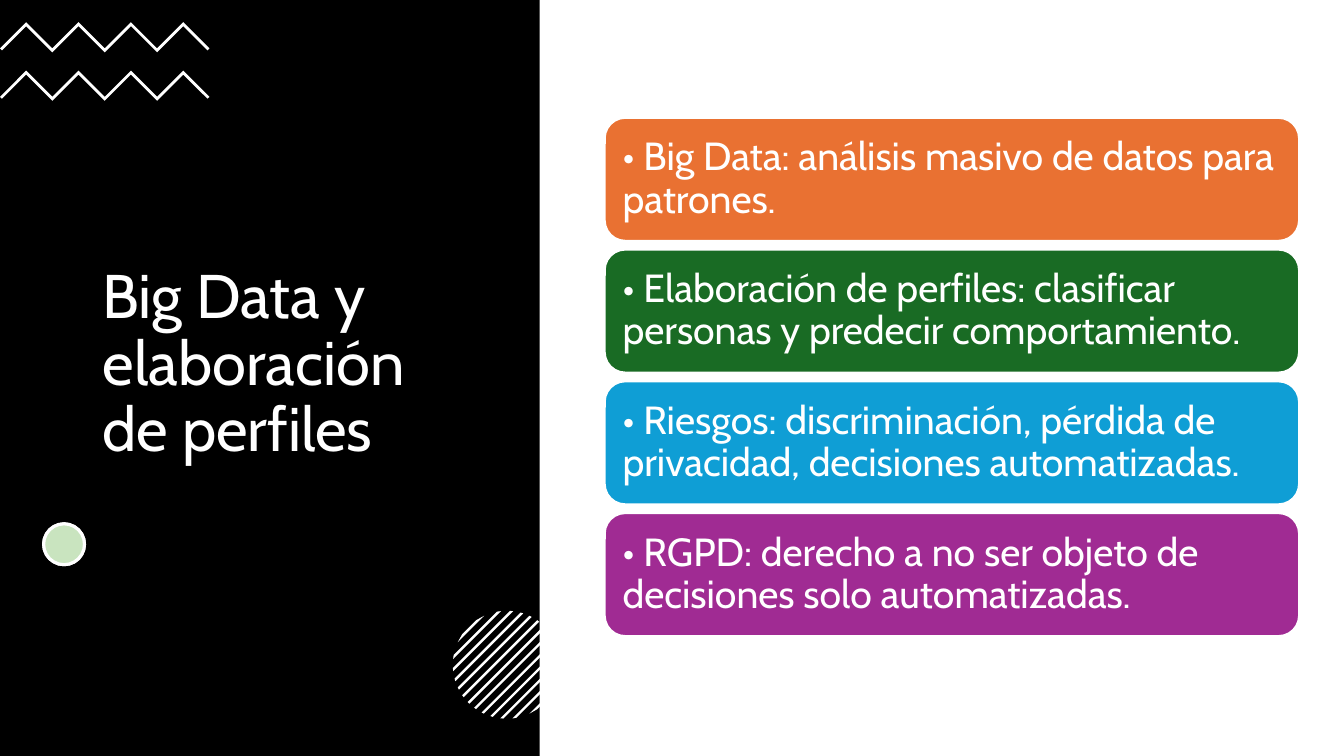
from math import sqrt

from lxml.etree import SubElement
from pptx import Presentation
from pptx.dml.color import RGBColor
from pptx.enum.shapes import MSO_SHAPE
from pptx.enum.text import MSO_ANCHOR, MSO_AUTO_SIZE, PP_ALIGN
from pptx.oxml.ns import qn
from pptx.util import Cm, Pt

WHITE = "FFFFFF"
BLACK = "000000"
GREEN = "4EA72E"

CARDS = [
    ("E97132", "• Big Data: análisis masivo de datos para patrones."),
    ("196B24", "• Elaboración de perfiles: clasificar personas y predecir comportamiento."),
    ("0F9ED5", "• Riesgos: discriminación, pérdida de privacidad, decisiones automatizadas."),
    ("A02B93", "• RGPD: derecho a no ser objeto de decisiones solo automatizadas."),
]


def color(hex_string):
    return RGBColor.from_string(hex_string)


class SlideBuilder:
    font = "Cabin"

    def __init__(self, slide):
        self.slide = slide

    def paint(self, shape, fill, line=None, line_width=0):
        shape.shadow.inherit = False
        shape.fill.solid()
        shape.fill.fore_color.rgb = color(fill)
        if line:
            shape.line.color.rgb = color(line)
            shape.line.width = Pt(line_width)
        else:
            shape.line.fill.background()

    def shape(self, kind, box, fill, line=None, line_width=0):
        shape = self.slide.shapes.add_shape(kind, *map(Cm, box))
        self.paint(shape, fill, line, line_width)
        return shape

    def set_text(self, shape, text, size):
        frame = shape.text_frame
        frame.text = text
        frame.word_wrap = True
        frame.auto_size = MSO_AUTO_SIZE.NONE
        frame.vertical_anchor = MSO_ANCHOR.MIDDLE
        paragraph = frame.paragraphs[0]
        paragraph.alignment = PP_ALIGN.LEFT
        paragraph.line_spacing = 0.9
        font = paragraph.runs[0].font
        font.name = self.font
        font.size = Pt(size)
        font.color.rgb = color(WHITE)

    def title(self, text, box):
        title = self.slide.shapes.title
        title.left, title.top, title.width, title.height = map(Cm, box)
        self.set_text(title, text, 44)
        return title

    def card(self, box, fill, text):
        card = self.shape(MSO_SHAPE.ROUNDED_RECTANGLE, box, fill, WHITE, 1.5)
        self.set_text(card, text, 28)
        frame = card.text_frame
        frame.margin_left = frame.margin_right = Cm(0.3)
        frame.margin_top = frame.margin_bottom = Cm(0.3)

    def dot(self, box, fill, opacity):
        dot = self.shape(MSO_SHAPE.OVAL, box, fill, WHITE, 2.25)
        fill_color = dot._element.spPr.find(qn("a:solidFill"))[0]
        SubElement(fill_color, qn("a:alpha"), val=str(opacity * 1000))

    def polygon(self, group, points):
        start, *others = [(Cm(x), Cm(y)) for x, y in points]
        builder = group.shapes.build_freeform(*start)
        builder.add_line_segments(others, close=True)
        self.paint(builder.convert_to_shape(), WHITE)

    def zigzags(self, tops, half_wave=0.66, thickness=0.1, count=8):
        group = self.slide.shapes.add_group_shape()
        for top in tops:
            upper = [(i * half_wave, top + (i + 1) % 2 * half_wave)
                     for i in range(count + 1)]
            lower = [(x, y + thickness) for x, y in upper[1:-1]]
            half = thickness / 2
            left_end = (half, upper[0][1] + half)
            right_end = (upper[-1][0] - half, upper[-1][1] + half)
            self.polygon(group, upper + [right_end] + lower[::-1] + [left_end])

    def striped_circle(self, center_x, center_y, radius, stripes=13, half_width=0.03):
        """Draw 45-degree stripes clipped by a circle."""
        group = self.slide.shapes.add_group_shape()
        spacing = 0.16 * radius

        def chord(distance):
            half = sqrt(radius ** 2 - distance ** 2)
            return [(center_x + (distance + end) / sqrt(2),
                     center_y + (distance - end) / sqrt(2)) for end in (-half, half)]

        for i in range(stripes):
            distance = (i - stripes // 2) * spacing
            near, far = chord(distance - half_width), chord(distance + half_width)
            self.polygon(group, near + far[::-1])


def main():
    presentation = Presentation()
    presentation.slide_width = Cm(33.87)
    presentation.slide_height = Cm(19.05)
    builder = SlideBuilder(presentation.slides.add_slide(presentation.slide_layouts[5]))

    panel = builder.shape(MSO_SHAPE.RECTANGLE, (0, 0, 13.6, 19.05), BLACK)
    title = builder.title("Big Data y elaboración de perfiles", (2.33, 3.33, 8.9, 11.75))
    title._element.addprevious(panel._element)

    builder.zigzags(tops=(0.56, 1.78))
    dot_box = (1.1, 13.2, 1.03, 1.03)
    builder.dot(dot_box, WHITE, 100)
    builder.dot(dot_box, GREEN, 30)
    builder.striped_circle(12.77, 16.75, 1.36)

    for i, (fill, text) in enumerate(CARDS):
        builder.card((15.24, 2.97 + i * 3.32, 17.5, 3.1), fill, text)

    presentation.save("out.pptx")


if __name__ == "__main__":
    main()
